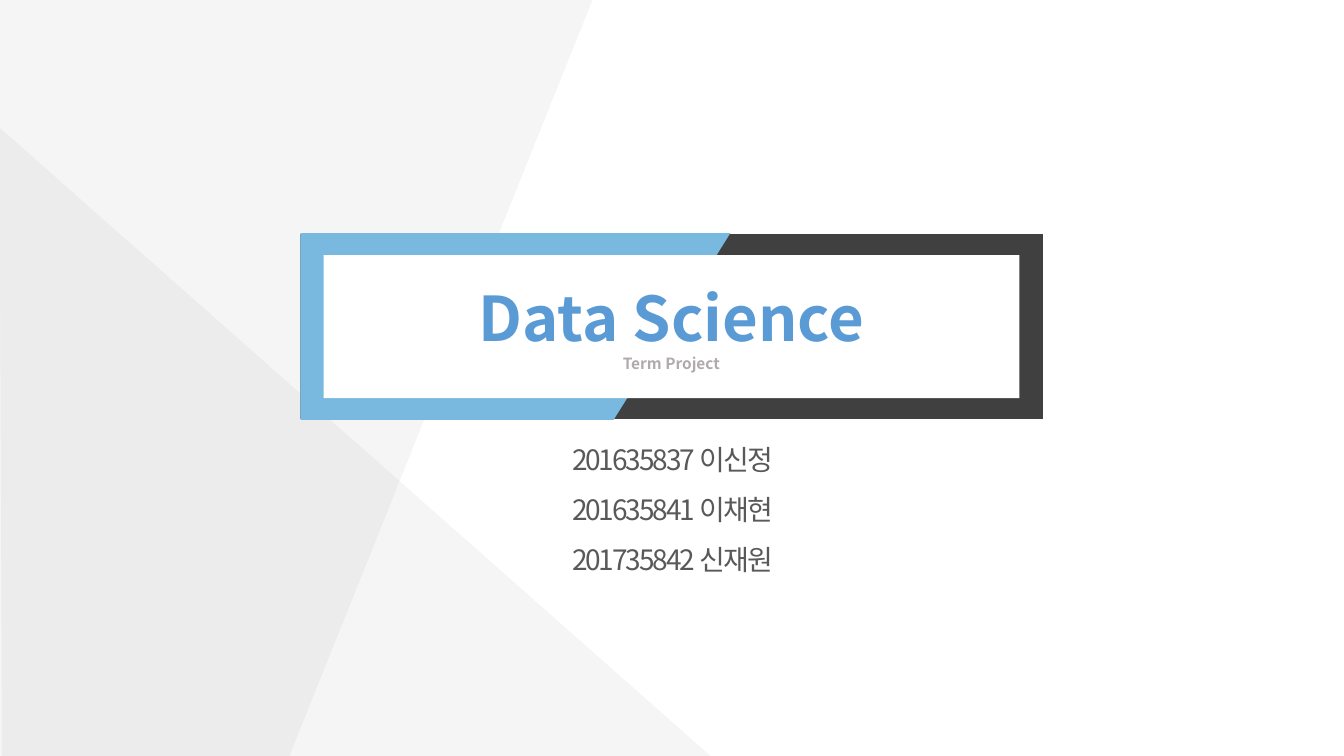
from pptx import Presentation
from pptx import util as u
from pptx.dml.color import RGBColor
from pptx.enum import shapes, text
from pptx.oxml.ns import qn
from lxml import etree

COLORS = {"shade": "181717", "dark": "404040", "sky": "7AB9DF", "white": "FFFFFF",
          "blue": "5B9BD5", "gray": "AFABAB", "ink": "595959"}
FONT = "Noto Sans CJK KR"


def rgb(name):
    return RGBColor.from_string(COLORS[name])


class Deck:
    def __init__(self):
        self.prs = Presentation()
        self.prs.slide_width = u.Inches(13.33)
        self.prs.slide_height = u.Inches(7.5)
        self.slide = self.prs.slides.add_slide(self.prs.slide_layouts[5])

    def place(self, shape, box):
        shape.left, shape.top, shape.width, shape.height = map(u.Inches, box)

    def style(self, para, size, color, bold=False, track=0):
        para.alignment = text.PP_ALIGN.CENTER
        for run in para.runs:
            font = run.font
            font.size, font.bold, font.name = u.Pt(size), bold, FONT
            font.color.rgb = rgb(color)
            props = font.fill and run.font.color and run.element.get_or_add_rPr() if hasattr(run, "element") else run._r.get_or_add_rPr()
            etree.SubElement(props, qn("a:ea")).set("typeface", FONT)
            if track:
                props.set("spc", str(int(track * 100)))

    def wedge(self, points, alpha):
        start, *rest = [(u.Inches(x), u.Inches(y)) for x, y in points]
        form = self.slide.shapes.build_freeform(*start)
        form.add_line_segments(rest, close=True)
        shape = form.convert_to_shape()
        shape.shadow.inherit = False
        shape.line.fill.background()
        shape.fill.solid()
        shape.fill.fore_color.rgb = rgb("shade")
        tint = shape.element.spPr.find(".//" + qn("a:srgbClr"))
        etree.SubElement(tint, qn("a:alpha")).set("val", str(alpha * 1000))

    def frame(self, box, names, angle):
        shape = self.slide.shapes.add_shape(shapes.MSO_SHAPE.RECTANGLE, *map(u.Inches, box))
        shape.shadow.inherit = False
        shape.line.fill.background()
        shape.fill.gradient()
        shape.fill.gradient_angle = angle
        for stop, name in zip(shape.fill.gradient_stops, names):
            stop.position = 0.5
            stop.color.rgb = rgb(name)

    def title(self, box, lines):
        shape = self.slide.shapes.title
        self.place(shape, box)
        shape.element.getparent().append(shape.element)  # bring to front
        shape.fill.solid()
        shape.fill.fore_color.rgb = rgb("white")
        body = shape.text_frame
        body.auto_size = text.MSO_AUTO_SIZE.NONE
        body.vertical_anchor = text.MSO_ANCHOR.MIDDLE
        body.text = "\n".join(line[0] for line in lines)
        for para, (_, size, color) in zip(body.paragraphs, lines):
            self.style(para, size, color, bold=True)

    def names(self, box, lines):
        body = self.slide.shapes.add_textbox(*map(u.Inches, box)).text_frame
        body.word_wrap = False
        body.auto_size = text.MSO_AUTO_SIZE.SHAPE_TO_FIT_TEXT
        body.text = "\n".join(lines)
        for para in body.paragraphs:
            para.line_spacing = 1.5
            self.style(para, 20, "ink", track=-1.5)


def main():
    deck = Deck()
    # Background wedges
    deck.wedge([(0, 7.5), (0, 1.27), (7.06, 7.51)], 4)
    deck.wedge([(0.02, 7.51), (-0.01, -0.01), (5.88, -0.01), (2.87, 7.5)], 4)
    # Team members
    deck.names((5.54, 4.17, 2.26, 1.55),
               ["201635837 이신정", "201635841 이채현", "201735842 신재원"])
    # Two-tone frame and title
    deck.frame((2.98, 2.32, 7.37, 1.84), ("dark", "sky"), 148)
    deck.title((3.21, 2.53, 6.9, 1.42),
               [("Data Science", 44, "blue"), ("Term Project", 11, "gray")])
    deck.prs.save("out.pptx")


if __name__ == "__main__":
    main()
